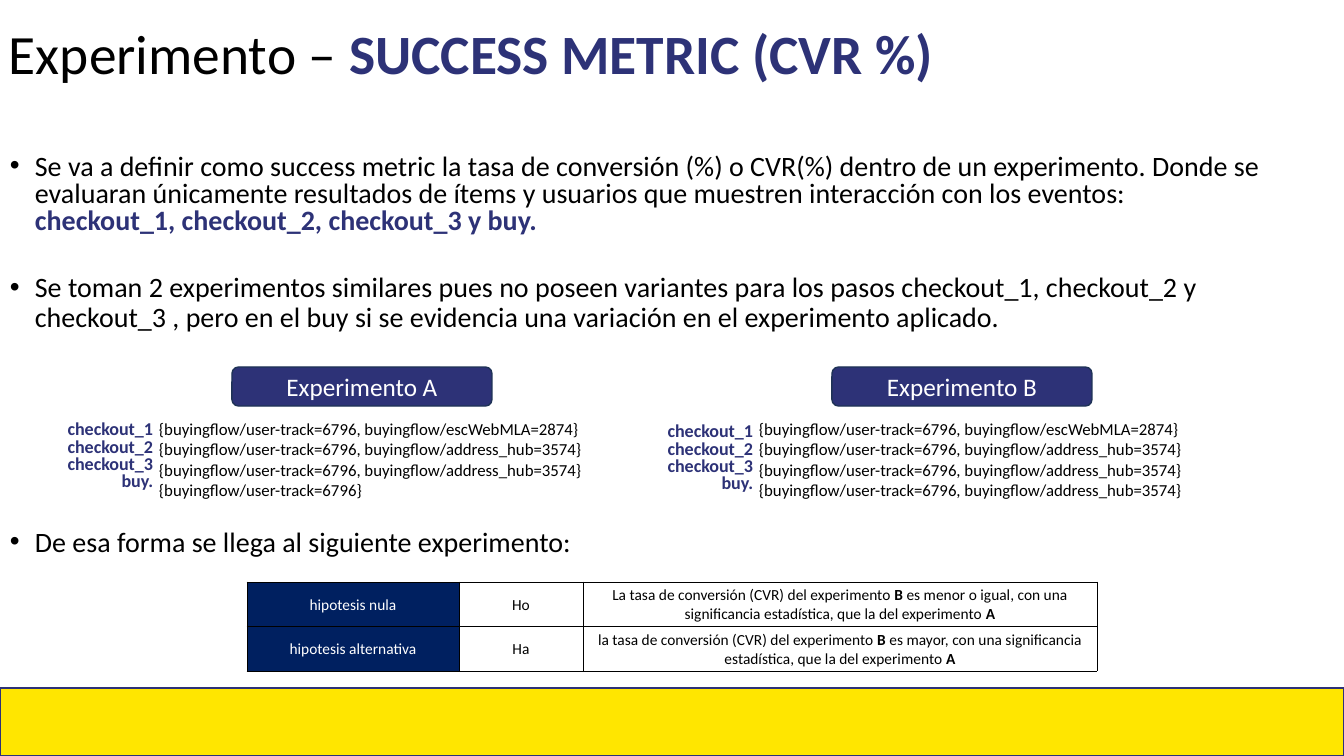
from lxml.etree import SubElement
from pptx import Presentation
from pptx.dml.color import RGBColor as Rgb
from pptx.enum.shapes import MSO_SHAPE as Shape
from pptx.enum.text import MSO_ANCHOR as Anchor, PP_ALIGN as Align
from pptx.oxml.ns import qn
from pptx.util import Pt

SCALE = 914400 / 100.8  # EMU in one px
COLORS = {"ink": "000000", "brand": "2D3277", "edge": "1E3256",
          "band": "FFE600", "label": "002060", "white": "FFFFFF"}


def emu(px):
    return round(px * SCALE)


def color(name):
    return Rgb.from_string(COLORS[name])


class SlideBuilder:
    font = "Calibri"

    def __init__(self, page):
        self.page = page

    def add_spans(self, frame, spans, size, **formats):
        """Fill the first paragraph with (text, colour, bold) spans; a newline is a line break."""
        para = frame.paragraphs[0]
        for name, value in formats.items():
            setattr(para, name, value)
        for text, ink, bold in spans:
            for number, line in enumerate(text.split("\n")):
                if number:
                    para.add_line_break()
                if not line:
                    continue
                span = para.add_run()
                span.text = line
                style = {"name": self.font, "size": Pt(size), "bold": bold}
                for name, value in style.items():
                    setattr(span.font, name, value)
                span.font.color.rgb = color(ink)
        return para

    def text(self, bounds, spans, size, anchor=Anchor.TOP, **formats):
        frame = self.page.shapes.add_textbox(*map(emu, bounds)).text_frame
        frame.word_wrap = True
        frame.vertical_anchor = anchor
        return self.add_spans(frame, spans, size, **formats)

    def bullet(self, bounds, spans, spacing=0.9):
        para = self.text(bounds, spans, 20, line_spacing=spacing, space_before=Pt(10))
        props = para._p.get_or_add_pPr()
        props.set("marL", str(emu(25)))
        props.set("indent", str(emu(-25)))
        SubElement(props, qn("a:buFont"), typeface="Arial")
        SubElement(props, qn("a:buChar"), char="•")

    def box(self, kind, bounds, fill, line, label=""):
        shape = self.page.shapes.add_shape(kind, *map(emu, bounds))
        shape.shadow.inherit = False
        shape.fill.solid()
        shape.fill.fore_color.rgb = color(fill)
        shape.line.color.rgb = color(line)
        shape.line.width = Pt(1)
        if label:
            shape.text_frame.vertical_anchor = Anchor.MIDDLE
            self.add_spans(shape.text_frame, [(label, "white", False)], 18,
                           alignment=Align.CENTER)

    def border(self, cell):
        props = cell._tc.get_or_add_tcPr()
        for side in ("lnL", "lnR", "lnT", "lnB"):
            line = SubElement(props, qn(f"a:{side}"), w=str(int(Pt(0.5))))
            fill = SubElement(line, qn("a:solidFill"))
            SubElement(fill, qn("a:srgbClr"), val=COLORS["ink"])

    def table(self, bounds, widths, rows):
        """Draw rows of span lists, with the first column as labels."""
        table = self.page.shapes.add_table(len(rows), len(widths), *map(emu, bounds)).table
        table.first_row = table.horz_banding = False
        for column, width in zip(table.columns, widths):
            column.width = emu(width)
        for row_number, row in enumerate(rows):
            for column_number, spans in enumerate(row):
                cell = table.cell(row_number, column_number)
                layout = {"margin_left": emu(1), "margin_right": emu(1),
                          "margin_top": emu(1), "margin_bottom": 0,
                          "vertical_anchor": Anchor.MIDDLE}
                for name, value in layout.items():
                    setattr(cell, name, value)
                self.border(cell)
                if column_number == 0:
                    cell.fill.solid()
                    cell.fill.fore_color.rgb = color("label")
                else:
                    cell.fill.background()
                self.add_spans(cell.text_frame, spans, 11, alignment=Align.CENTER)

    def experiment(self, left, name, steps_top, tracks):
        self.box(Shape.ROUNDED_RECTANGLE, (left + 186, 367, 260, 39), "brand", "edge", name)
        self.text((left + 103, 414, 448, 92), [("\n".join(tracks), "ink", False)], 12)
        steps = "checkout_1\ncheckout_2\ncheckout_3\nbuy."
        self.text((left, steps_top, 117, 83), [(steps, "brand", True)], 12.9,
                  alignment=Align.RIGHT, line_spacing=0.8, space_before=Pt(10))


def hypothesis(label, symbol, opening, comparison):
    return [[(label, "white", False)], [(symbol, "ink", False)],
            [(f"{opening} tasa de conversión (CVR) del experimento ", "ink", False),
             ("B", "ink", True),
             (f" es {comparison}, con una significancia estadística, "
              "que la del experimento ", "ink", False),
             ("A", "ink", True)]]


def main():
    deck = Presentation()
    deck.slide_width, deck.slide_height = emu(1344), emu(756)
    slide = SlideBuilder(deck.slides.add_slide(deck.slide_layouts[6]))

    slide.text((-1, 1, 956, 111), [("Experimento – ", "ink", False),
                                   ("SUCCESS METRIC (CVR %)", "brand", True)],
               39.6, Anchor.MIDDLE, line_spacing=0.9)
    slide.bullet((0, 150, 1322, 97), [
        ("Se va a definir como success metric la tasa de conversión (%) o CVR(%) dentro de un "
         "experimento. Donde se evaluaran únicamente resultados de ítems y usuarios que "
         "muestren interacción con los eventos:\n", "ink", False),
        ("checkout_1, checkout_2, checkout_3 y buy.", "brand", True)], 0.8)
    slide.bullet((0, 268, 1322, 83), [
        ("Se toman 2 experimentos similares pues no poseen variantes para los pasos checkout_1, "
         "checkout_2 y checkout_3 , pero en el buy si se evidencia una variación en el "
         "experimento aplicado.", "ink", False)])
    slide.bullet((0, 523, 1322, 45),
                 [("De esa forma se llega al siguiente experimento:", "ink", False)])

    user = "{buyingflow/user-track=6796"
    web, hub = user + ", buyingflow/escWebMLA=2874}", user + ", buyingflow/address_hub=3574}"
    slide.experiment(46, "Experimento A", 417, [web, hub, hub, user + "}"])
    slide.experiment(646, "Experimento B", 419, [web, hub, hub, hub])

    slide.table((247, 582, 850, 89), (212, 124, 514), [
        hypothesis("hipotesis nula", "Ho", "La", "menor o igual"),
        hypothesis("hipotesis alternativa", "Ha", "la", "mayor")])
    slide.box(Shape.RECTANGLE, (0, 688, 1344, 68), "band", "brand")
    deck.save("out.pptx")


if __name__ == "__main__":
    main()
